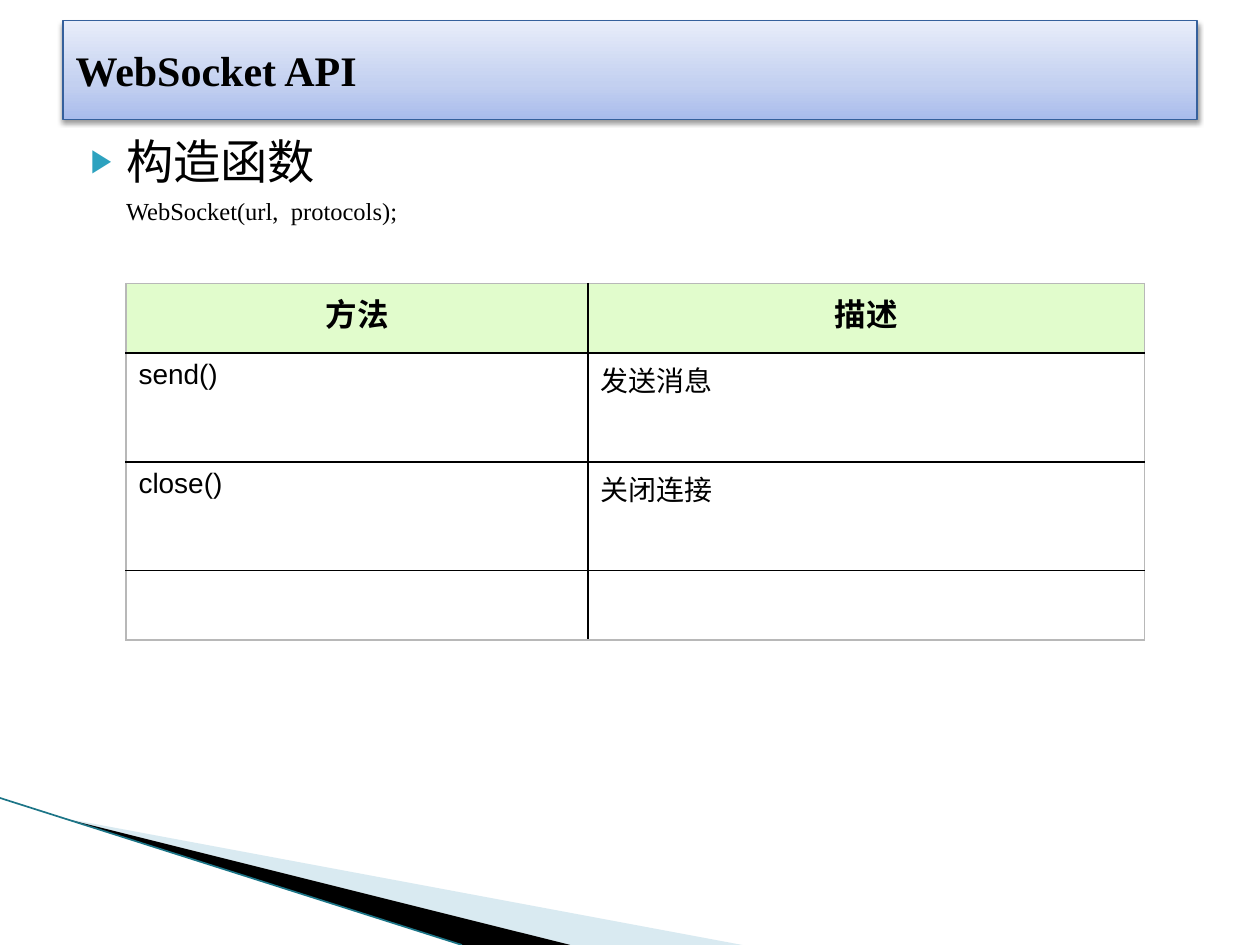
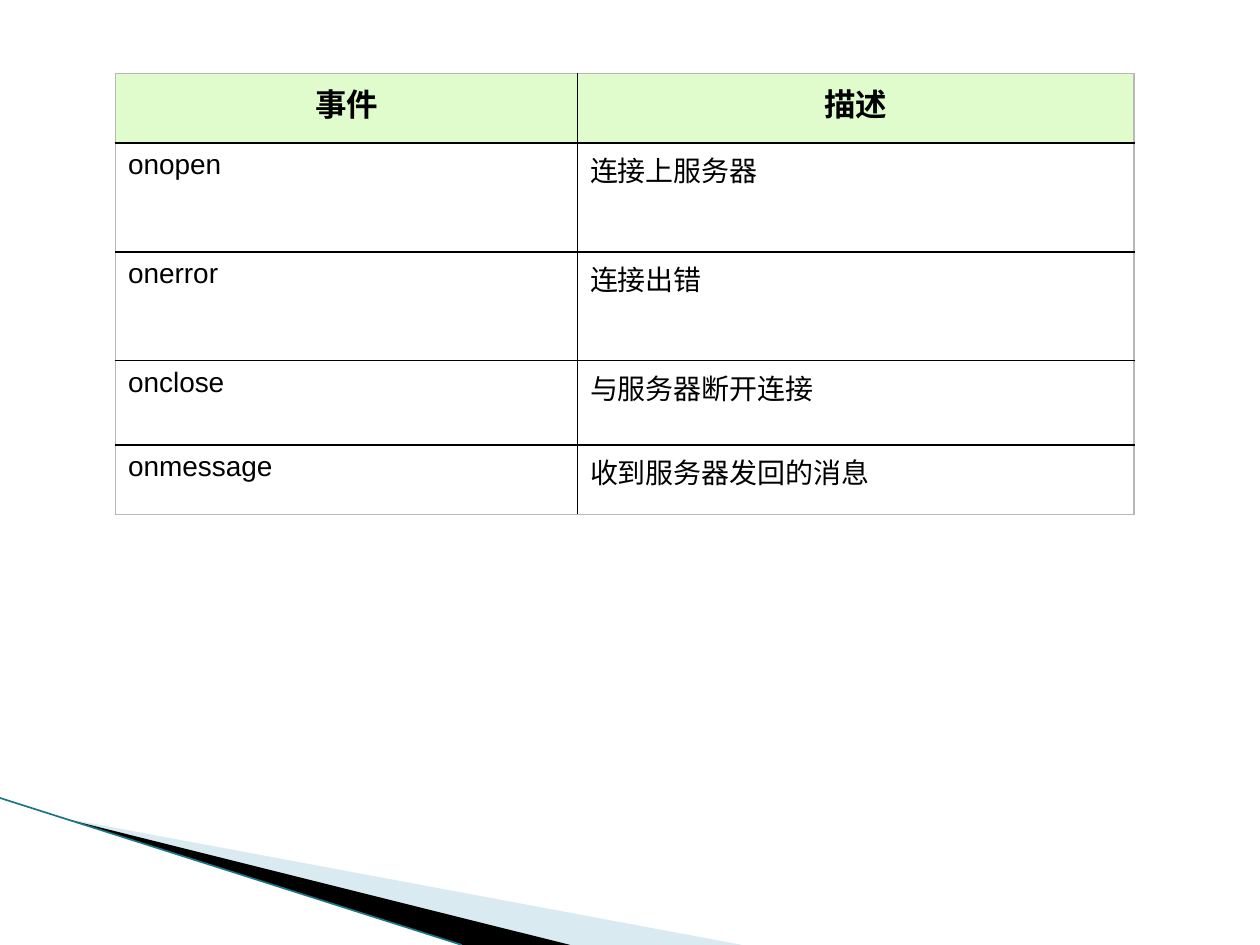
from copy import deepcopy
from dataclasses import dataclass
from typing import NamedTuple

from lxml.etree import SubElement
from pptx import Presentation
from pptx.dml.color import RGBColor
from pptx.enum.text import MSO_ANCHOR, MSO_AUTO_SIZE, PP_ALIGN
from pptx.oxml.ns import qn
from pptx.util import Emu, Inches, Pt

COLS, ROWS = 120, 90
WIDTH, HEIGHT = Inches(10), Inches(7.5)


@dataclass(frozen=True)
class Theme:
    serif: str = "Times New Roman"
    sans: str = "Arial"
    ink: str = "000000"
    pale: str = "A0CBDC"
    pale_opacity: int = 40
    edge: str = "1C7587"
    bullet: str = "2DA2BF"
    title_line: str = "35609C"
    title_stops: tuple = ((0, "A9BCEC"), (0.35, "C3D0F0"), (1, "E8EDFA"))
    header_fill: str = "E1FCCC"
    outer_border: str = "B8B8B8"
    title_size: float = 24
    lead_size: float = 27
    code_size: float = 14
    header_size: float = 18
    cell_size: float = 16


THEME = Theme()


class Box(NamedTuple):
    col: float
    row: float
    cols: float
    rows: float


class Wedge(NamedTuple):
    frame: Box
    points: tuple
    colour: str
    opacity: int


class TableSpec(NamedTuple):
    col: float
    row: float
    heights: tuple
    cells: tuple


WEDGES = (
    Wedge(Box(9.4, 65.6, 50, 19), ((5.9, 77.9), (70.7, 90), (54.3, 90)),
          THEME.pale, THEME.pale_opacity),
    Wedge(Box(-0.7, 76, 50, 11), ((5.9, 77.9), (54.3, 90), (44, 90)),
          THEME.ink, 100),
)
EDGE_START, EDGE_END = (0, 76), (44, 90)
TITLE_BOX = Box(6, 1.95, 108, 9.4)
BODY_BOX = Box(6, 12, 108, 11)
TABLE_COLS = (44, 53)
METHODS = TableSpec(12, 27, (6.6, 10.4, 10.35, 6.6), (
    ("方法", "描述"),
    ("send()", "发送消息"),
    ("close()", "关闭连接"),
    ("", ""),
))
EVENTS = TableSpec(11, 7, (6.6, 10.4, 10.35, 8.05, 6.6), (
    ("事件", "描述"),
    ("onopen", "连接上服务器"),
    ("onerror", "连接出错"),
    ("onclose", "与服务器断开连接"),
    ("onmessage", "收到服务器发回的消息"),
))


def x(cols: float) -> Emu:
    return Emu(round(WIDTH * cols / COLS))


def y(rows: float) -> Emu:
    return Emu(round(HEIGHT * rows / ROWS))


def rgb(colour: str) -> RGBColor:
    return RGBColor.from_string(colour)


def place(sp, box: Box) -> None:
    sp.left, sp.top = x(box.col), y(box.row)
    sp.width, sp.height = x(box.cols), y(box.rows)


def add_run(p, text: str, size: float, font: str, bold: bool = False) -> None:
    r = p.add_run()
    r.text = text
    r.font.size, r.font.name, r.font.bold = Pt(size), font, bold
    r.font.color.rgb = rgb(THEME.ink)


def reframe(sp, frame: Box) -> None:
    """Give a freeform a new frame while its outline stays in place."""
    left, top = sp.left, sp.top
    place(sp, frame)
    outline = sp.element.spPr.find(f".//{qn('a:pathLst')}")[0]
    outline.set("w", str(sp.width))
    outline.set("h", str(sp.height))
    for point in outline.iter(qn("a:pt")):
        point.set("x", str(int(point.get("x")) + left - sp.left))
        point.set("y", str(int(point.get("y")) + top - sp.top))


def add_wedge(s, wedge: Wedge):
    points = [(x(c), y(r)) for c, r in wedge.points]
    builder = s.shapes.build_freeform(*points[0])
    builder.add_line_segments(points[1:], close=True)
    sp = builder.convert_to_shape()
    reframe(sp, wedge.frame)
    sp.shadow.inherit = False
    sp.line.fill.background()
    sp.fill.solid()
    sp.fill.fore_color.rgb = rgb(wedge.colour)
    if wedge.opacity < 100:
        colour = sp.element.spPr.find(f"{qn('a:solidFill')}/{qn('a:srgbClr')}")
        SubElement(colour, qn("a:alpha"), val=str(wedge.opacity * 1000))
    return sp


def add_edge(s):
    (c1, r1), (c2, r2) = EDGE_START, EDGE_END
    sp = s.shapes.add_connector(1, x(c1), y(r1), x(c2), y(r2))
    sp.line.color.rgb = rgb(THEME.edge)
    sp.line.width = Pt(0.95)
    SubElement(sp.element.spPr, qn("a:effectLst"))
    return sp


def decorate_master(prs, s) -> None:
    """Build the corner on a slide, then hand it to the shared master."""
    corner = [add_wedge(s, wedge) for wedge in WEDGES] + [add_edge(s)]
    for sp in corner:
        prs.slide_master.shapes.element.append(sp.element)


def style_title_band(sp) -> None:
    sp.fill.gradient()
    sp.fill.gradient_angle = 90
    stop_list = sp.element.spPr.find(f".//{qn('a:gsLst')}")
    stop_list.append(deepcopy(stop_list[0]))
    for stop, (position, colour) in zip(sp.fill.gradient_stops, THEME.title_stops):
        stop.position = position
        stop.color.rgb = rgb(colour)
    sp.line.color.rgb = rgb(THEME.title_line)
    sp.line.width = Pt(0.75)
    sp.shadow.inherit = False
    effects = sp.element.spPr.find(qn("a:effectLst"))
    shadow = SubElement(effects, qn("a:outerShdw"), blurRad=str(Pt(3.1)),
                        dist=str(Pt(1.6)), dir="5400000", rotWithShape="0")
    colour = SubElement(shadow, qn("a:srgbClr"), val=THEME.ink)
    SubElement(colour, qn("a:alpha"), val="38000")


def set_title(s, text: str) -> None:
    sp = s.shapes.title
    place(sp, TITLE_BOX)
    style_title_band(sp)
    tf = sp.text_frame
    tf.auto_size = MSO_AUTO_SIZE.NONE
    tf.vertical_anchor = MSO_ANCHOR.MIDDLE
    p = tf.paragraphs[0]
    p.alignment = PP_ALIGN.LEFT
    add_run(p, text, THEME.title_size, THEME.serif, bold=True)


def indent(p, hanging: float, bullet: str = "") -> None:
    pPr = p._p.get_or_add_pPr()
    pPr.set("marL", str(Inches(0.4)))
    pPr.set("indent", str(-Inches(hanging)))
    if bullet:
        colour = SubElement(pPr, qn("a:buClr"))
        SubElement(colour, qn("a:srgbClr"), val=THEME.bullet)
        SubElement(pPr, qn("a:buSzPct"), val="68000")
        SubElement(pPr, qn("a:buFont"), typeface=THEME.sans)
        SubElement(pPr, qn("a:buChar"), char=bullet)
    else:
        SubElement(pPr, qn("a:buNone"))


def set_body(s, lead: str, code: str) -> None:
    sp = s.placeholders[1]
    place(sp, BODY_BOX)
    tf = sp.text_frame
    tf.auto_size = MSO_AUTO_SIZE.NONE
    tf.vertical_anchor = MSO_ANCHOR.TOP
    p = tf.paragraphs[0]
    indent(p, 0.28, "▶")
    p.space_before = Pt(0)
    add_run(p, lead, THEME.lead_size, THEME.serif)
    p = tf.add_paragraph()
    indent(p, 0)
    p.space_before = Pt(4)
    add_run(p, code, THEME.code_size, THEME.serif)


def set_borders(cell, outer_sides: dict) -> None:
    """Draw the four sides; sides on the table's outline are grey."""
    tcPr = cell._tc.get_or_add_tcPr()
    for i, (side, is_outer) in enumerate(outer_sides.items()):
        ln = SubElement(tcPr, qn(f"a:ln{side}"), w=str(Pt(1)))
        fill = SubElement(ln, qn("a:solidFill"))
        SubElement(fill, qn("a:srgbClr"),
                   val=THEME.outer_border if is_outer else THEME.ink)
        tcPr.insert(i, ln)


def fill_cell(cell, text: str, is_header: bool) -> None:
    if is_header:
        cell.fill.solid()
        cell.fill.fore_color.rgb = rgb(THEME.header_fill)
    else:
        cell.fill.background()
    if text:
        p = cell.text_frame.paragraphs[0]
        p.alignment = PP_ALIGN.CENTER if is_header else PP_ALIGN.LEFT
        size = THEME.header_size if is_header else THEME.cell_size
        add_run(p, text, size, THEME.sans, bold=is_header)


def add_api_table(s, spec: TableSpec) -> None:
    n_rows, n_cols = len(spec.heights), len(TABLE_COLS)
    table = s.shapes.add_table(n_rows, n_cols, x(spec.col), y(spec.row),
                               x(sum(TABLE_COLS)), y(sum(spec.heights))).table
    table.first_row = table.horz_banding = False
    for column, width in zip(table.columns, TABLE_COLS):
        column.width = x(width)
    for i, (height, texts) in enumerate(zip(spec.heights, spec.cells)):
        table.rows[i].height = y(height)
        for j, text in enumerate(texts):
            cell = table.cell(i, j)
            fill_cell(cell, text, is_header=i == 0)
            set_borders(cell, {"L": j == 0, "R": j == n_cols - 1,
                               "T": i == 0, "B": i == n_rows - 1})


def main() -> None:
    prs = Presentation()
    prs.slide_width, prs.slide_height = WIDTH, HEIGHT

    s = prs.slides.add_slide(prs.slide_layouts[1])
    decorate_master(prs, s)
    set_body(s, "构造函数", "WebSocket(url,  protocols);")
    set_title(s, "WebSocket API")
    add_api_table(s, METHODS)

    s = prs.slides.add_slide(prs.slide_layouts[6])
    add_api_table(s, EVENTS)

    prs.save("out.pptx")


if __name__ == "__main__":
    main()
